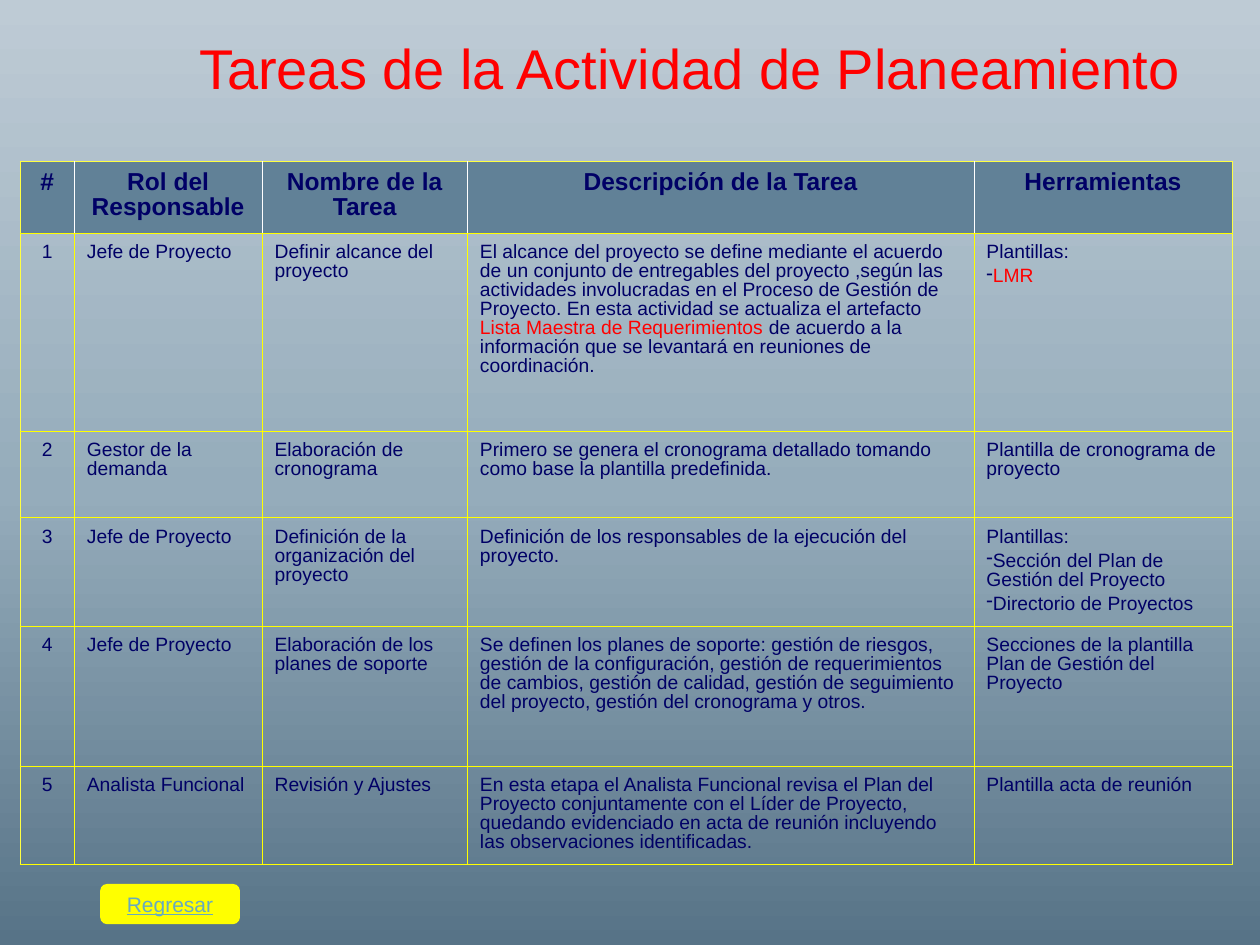
from lxml import etree
from pptx import Presentation
from pptx.dml.color import RGBColor
from pptx.enum.shapes import MSO_SHAPE
from pptx.enum.text import MSO_ANCHOR, PP_ALIGN
from pptx.oxml.ns import qn
from pptx.util import Inches, Pt

BUTTON_SHAPE = MSO_SHAPE.FLOWCHART_ALTERNATE_PROCESS
MIDDLE = MSO_ANCHOR.MIDDLE
LEFT, CENTER = PP_ALIGN.LEFT, PP_ALIGN.CENTER
TITLE_ONLY = 5

NAVY, RED, YELLOW, WHITE = "000066", "FF0000", "FFFF00", "FFFFFF"
OUTER, HEADER, LINK = "FFFF43", "618197", "67AABF"
BACKGROUND = [(0, "577387"), (48, "95ACBB"), (100, "BECBD5")]

COLUMNS = [0.43, 1.49, 1.63, 4.02, 2.05]
ROWS = [0.57, 1.57, 0.69, 0.86, 1.11, 0.78]
HEADINGS = ["#", "Rol del Responsable", "Nombre de la Tarea",
            "Descripción de la Tarea", "Herramientas"]
# Each line is a paragraph; a leading "-" is a bullet and |bars| mark red words.
TASKS = [
    ["1", "Jefe de Proyecto", "Definir alcance del proyecto",
     "El alcance del proyecto se define mediante el acuerdo de un conjunto de "
     "entregables del proyecto ,según las actividades involucradas en el Proceso "
     "de Gestión de Proyecto. En esta actividad se actualiza el artefacto "
     "|Lista Maestra de Requerimientos |de acuerdo a la información que se "
     "levantará en reuniones de coordinación.",
     "Plantillas:\n-|LMR|"],
    ["2", "Gestor de la demanda", "Elaboración de cronograma",
     "Primero se genera el cronograma detallado tomando como base la plantilla "
     "predefinida.",
     "Plantilla de cronograma de proyecto"],
    ["3", "Jefe de Proyecto", "Definición de la organización del proyecto",
     "Definición de los responsables de la ejecución del proyecto.",
     "Plantillas:\n-Sección del Plan de Gestión del Proyecto\n"
     "-Directorio de Proyectos"],
    ["4", "Jefe de Proyecto", "Elaboración de los planes de soporte",
     "Se definen los planes de soporte: gestión de riesgos, gestión de la "
     "configuración, gestión de requerimientos de cambios, gestión de calidad, "
     "gestión de seguimiento del proyecto, gestión del cronograma y otros.",
     "Secciones de la plantilla Plan de Gestión del Proyecto"],
    ["5", "Analista Funcional", "Revisión y Ajustes",
     "En esta etapa el Analista Funcional revisa el Plan del Proyecto "
     "conjuntamente con el Líder de Proyecto, quedando evidenciado en acta de "
     "reunión incluyendo las observaciones identificadas.",
     "Plantilla acta de reunión"],
]


def rgb(color):
    return RGBColor.from_string(color)


def add_color(parent, color):
    etree.SubElement(parent, qn("a:srgbClr"), val=color)


def set_font(font, size, color, bold=False):
    font.name, font.size, font.bold = "Arial", Pt(size), bold
    font.color.rgb = rgb(color)


def paint_background(page):
    fill = page.background.fill
    fill.gradient()
    fill.gradient_angle = 90
    stops = page._element.find(".//" + qn("a:gsLst"))
    for stop in list(stops):
        stops.remove(stop)
    for position, color in BACKGROUND:
        add_color(etree.SubElement(stops, qn("a:gs"), pos=str(position * 1000)), color)


def add_title(page, text):
    title = page.shapes.title
    title.left, title.top = Inches(1.48), Inches(0.21)
    title.width, title.height = Inches(8.32), Inches(0.64)
    title.text_frame.text = text
    title.text_frame.vertical_anchor = MIDDLE
    para = title.text_frame.paragraphs[0]
    para.alignment = LEFT
    set_font(para.font, 32, RED)


def add_bullet(para):
    properties = para._p.get_or_add_pPr()
    properties.set("marL", "0")
    properties.set("indent", "0")
    add_color(etree.SubElement(properties, qn("a:buClr")), NAVY)
    etree.SubElement(properties, qn("a:buChar"), char="-")


def write_cell(cell, text, size, bold, alignment):
    cell.margin_left = cell.margin_right = Inches(0.1)
    cell.margin_top, cell.margin_bottom = Inches(0.08), Inches(0.05)
    frame = cell.text_frame
    for index, line in enumerate(text.split("\n")):
        para = frame.add_paragraph() if index else frame.paragraphs[0]
        if line.startswith("-"):
            add_bullet(para)
        para.alignment = alignment
        para.line_spacing = 0.89
        if index:
            para.space_before = Pt(2.8)
        set_font(para.font, size, NAVY, bold)
        for part, words in enumerate(line.removeprefix("-").split("|")):
            if words:
                span = para.add_run()
                span.text = words
                if part % 2:
                    span.font.color.rgb = rgb(RED)


def set_borders(cell, row, column):
    inner = YELLOW if row else WHITE
    colors = {
        "a:lnL": inner if column else OUTER,
        "a:lnR": inner if column < len(COLUMNS) - 1 else OUTER,
        "a:lnT": YELLOW if row else OUTER,
        "a:lnB": YELLOW,
    }
    properties = cell._tc.get_or_add_tcPr()
    for side, color in colors.items():
        width = Pt(0.5 if color == OUTER else 0.34)
        line = etree.SubElement(properties, qn(side), w=str(width))
        add_color(etree.SubElement(line, qn("a:solidFill")), color)


def add_task_table(page):
    table = page.shapes.add_table(
        len(ROWS), len(COLUMNS), Inches(0.16), Inches(1.28),
        Inches(sum(COLUMNS)), Inches(sum(ROWS))).table
    table.first_row = table.horz_banding = False
    for column, width in zip(table.columns, COLUMNS):
        column.width = Inches(width)
    for row, height in zip(table.rows, ROWS):
        row.height = Inches(height)
    for row, texts in enumerate([HEADINGS] + TASKS):
        heading = row == 0
        for column, text in enumerate(texts):
            cell = table.cell(row, column)
            centered = heading or column == 0
            write_cell(cell, text, 14 if heading else 11, heading,
                       CENTER if centered else LEFT)
            set_borders(cell, row, column)
            if heading:
                cell.fill.solid()
                cell.fill.fore_color.rgb = rgb(HEADER)
            else:
                cell.fill.background()


def add_button(page, text):
    button = page.shapes.add_shape(
        BUTTON_SHAPE, Inches(0.8), Inches(7.02), Inches(1.1), Inches(0.31))
    button.shadow.inherit = False
    button.fill.solid()
    button.fill.fore_color.rgb = rgb(YELLOW)
    button.line.color.rgb = rgb(YELLOW)
    button.line.width = Pt(0.75)
    frame = button.text_frame
    frame.word_wrap = False
    frame.vertical_anchor = MIDDLE
    frame.text = text
    para = frame.paragraphs[0]
    para.alignment = CENTER
    set_font(para.font, 12, LINK)
    para.font.underline = True


def main():
    deck = Presentation()
    deck.slide_width, deck.slide_height = Inches(10), Inches(7.5)
    page = deck.slides.add_slide(deck.slide_layouts[TITLE_ONLY])
    paint_background(page)
    add_task_table(page)
    add_button(page, "Regresar")
    add_title(page, "Tareas de la Actividad de Planeamiento")
    deck.save("out.pptx")


if __name__ == "__main__":
    main()
